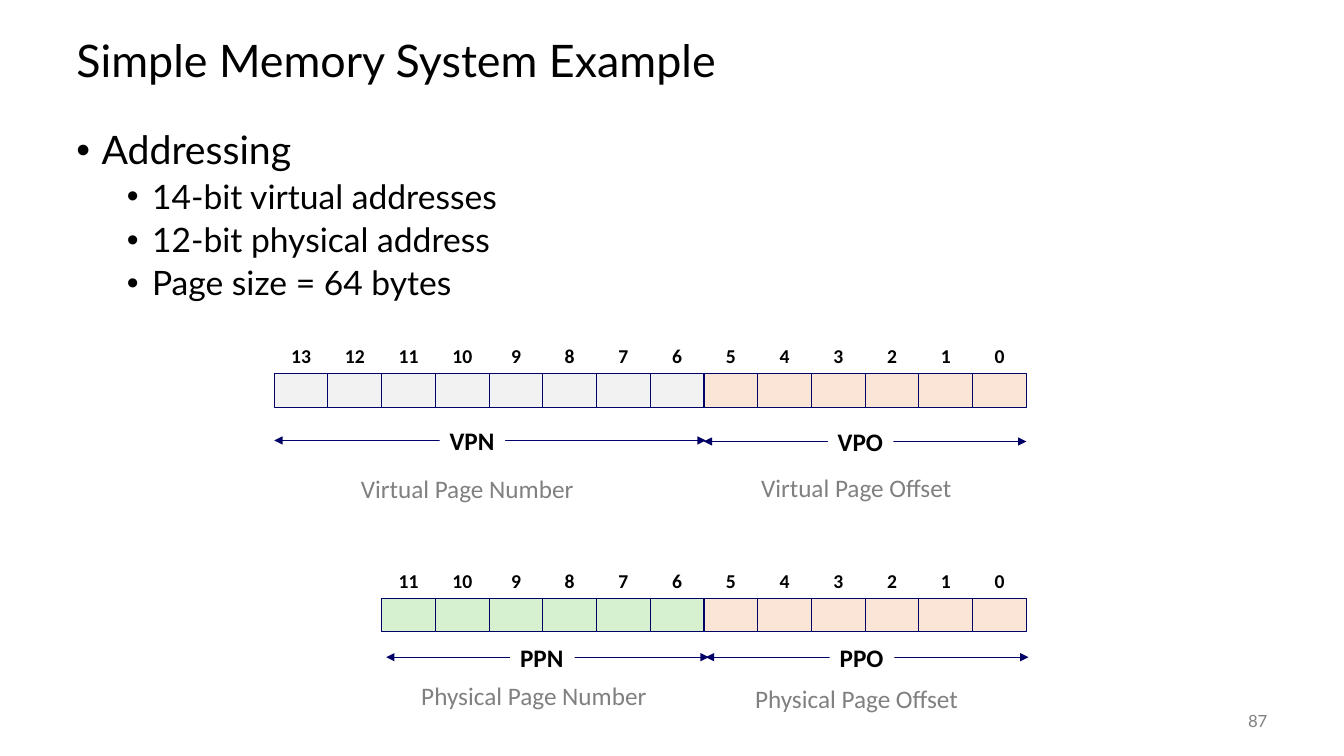
from lxml import etree
from pptx import Presentation
from pptx.dml.color import RGBColor
from pptx.enum.shapes import MSO_CONNECTOR, MSO_SHAPE
from pptx.enum.text import MSO_ANCHOR, MSO_AUTO_SIZE, PP_ALIGN
from pptx.oxml.ns import qn
from pptx.util import Inches, Pt

# Content
TITLE = "Simple Memory System Example"
BULLETS = [
    (0, "Addressing"),
    (1, "14-bit virtual addresses"),
    (1, "12-bit physical address"),
    (1, "Page size = 64 bytes"),
]
PAGE_NUMBER = "87"
OFFSET_BITS = 6
# Each address: bit count, top of cells, colour of the page number cells
ADDRESSES = [(14, 3.71, "F2F2F2"), (12, 5.94, "D5F1CF")]
# Each field: name, arrow start, arrow end, arrow y, label left, label width
FIELDS = [
    ("VPO", 6.98, 10.18, 4.38, 8.21, 0.65),
    ("PPO", 7, 10.2, 6.52, 8.23, 0.64),
    ("PPN", 3.83, 7.03, 6.52, 5.06, 0.64),
    ("VPN", 2.72, 7, 4.37, 4.36, 0.65),
]
# Each caption: text, left, top, width
CAPTIONS = [
    ("Virtual Page Number", 3.48, 4.69, 2.38),
    ("Virtual Page Offset", 7.45, 4.68, 2.16),
    ("Physical Page Number", 4.08, 6.74, 2.5),
    ("Physical Page Offset", 7.39, 6.77, 2.29),
]

# Layout and formats
ROW_LEFT, ROW_RIGHT = 2.72, 10.18
CELL_W = (ROW_RIGHT - ROW_LEFT) / 14
CELL_H = 0.33
LABEL_H = 0.36
NAVY, BLACK, GREY, PEACH = "000066", "000000", "808080", "FBE5D6"
HEADING = {"name": "Lato", "size": Pt(32)}
LEVELS = [  # font, left margin and space before of each bullet level
    ({"name": "Lato", "size": Pt(28)}, 0.25, 14),
    ({"name": "Lato", "size": Pt(24)}, 0.75, 5),
]
BIT = {"name": "Calibri", "size": Pt(14), "bold": True}
FIELD = {"name": "Calibri", "size": Pt(18), "bold": True}
CAPTION = {"name": "Calibri", "size": Pt(18)}
NUMBER = {"name": "Lato", "size": Pt(12)}


def rgb(color):
    return RGBColor.from_string(color)


def write(p, text, font, color=BLACK, spacing=None, align=None):
    r = p.add_run()
    r.text = text
    for key, value in font.items():
        setattr(r.font, key, value)
    r.font.color.rgb = rgb(color)
    p.line_spacing, p.alignment = spacing, align


def add_text(x, y, w, h, wrap=True, anchor=MSO_ANCHOR.TOP, fit=MSO_AUTO_SIZE.NONE):
    sp = s.shapes.add_textbox(Inches(x), Inches(y), Inches(w), Inches(h))
    frame = {"word_wrap": wrap, "vertical_anchor": anchor, "auto_size": fit}
    for key, value in frame.items():
        setattr(sp.text_frame, key, value)
    return sp


def add_label(text, x, y, w, font, color=BLACK):
    sp = add_text(x, y, w, LABEL_H, wrap=False, fit=MSO_AUTO_SIZE.SHAPE_TO_FIT_TEXT)
    write(sp.text_frame.paragraphs[0], text, font, color, 0.88)
    return sp


def add_cell(x, y, color):
    sp = s.shapes.add_shape(MSO_SHAPE.RECTANGLE, Inches(x), Inches(y),
                            Inches(CELL_W), Inches(CELL_H))
    sp.shadow.inherit = False
    sp.fill.solid()
    sp.fill.fore_color.rgb = rgb(color)
    sp.line.color.rgb = rgb(NAVY)
    sp.line.width = Pt(0.75)


def add_arrow(x1, x2, y):
    sp = s.shapes.add_connector(MSO_CONNECTOR.STRAIGHT, Inches(x1), Inches(y),
                                Inches(x2), Inches(y))
    sp.line.color.rgb = rgb(NAVY)
    sp.line.width = Pt(0.75)
    ln = sp.line._get_or_add_ln()
    for end in ("a:headEnd", "a:tailEnd"):
        etree.SubElement(ln, qn(end), type="triangle")
    etree.SubElement(sp._element.spPr, qn("a:effectLst"))


prs = Presentation()
prs.slide_width, prs.slide_height = Inches(13.33), Inches(7.5)
s = prs.slides.add_slide(prs.slide_layouts[6])

# Title
sp = add_text(0.66, 0.25, 12, 0.75, anchor=MSO_ANCHOR.MIDDLE)
write(sp.text_frame.paragraphs[0], TITLE, HEADING, spacing=0.9)

# Bullets
tf = add_text(0.66, 1.25, 12, 5.5).text_frame
for i, (level, text) in enumerate(BULLETS):
    p = tf.add_paragraph() if i else tf.paragraphs[0]
    font, margin, before = LEVELS[level]
    p.level = level
    pPr = p._p.get_or_add_pPr()
    pPr.set("marL", str(Inches(margin)))
    pPr.set("indent", str(Inches(-0.25)))
    etree.SubElement(pPr, qn("a:buFont"), typeface="Arial")
    etree.SubElement(pPr, qn("a:buChar"), char="•")
    write(p, text, font, spacing=0.9)
    if i:
        p.space_before = Pt(before)

# Address rows: numbered bits, highest first
for bits, top, color in ADDRESSES:
    for bit in reversed(range(bits)):
        x = ROW_RIGHT - (bit + 1) * CELL_W
        add_cell(x, top, PEACH if bit < OFFSET_BITS else color)
        sp = add_text(x, top - CELL_H, CELL_W, CELL_H, False, MSO_ANCHOR.MIDDLE)
        write(sp.text_frame.paragraphs[0], str(bit), BIT, spacing=0.88,
              align=PP_ALIGN.CENTER)

# Field arrows, each broken by its name
for name, x1, x2, y, x, w in FIELDS:
    add_arrow(x1, x2, y)
    sp = add_label(name, x, y - 0.16, w, FIELD)
    sp.fill.solid()
    sp.fill.fore_color.rgb = rgb("FFFFFF")

# Captions
for text, x, y, w in CAPTIONS:
    add_label(text, x, y, w, CAPTION, GREY)

# Page number
sp = add_text(11.67, 6.95, 1, 0.4, anchor=MSO_ANCHOR.MIDDLE)
write(sp.text_frame.paragraphs[0], PAGE_NUMBER, NUMBER, GREY, align=PP_ALIGN.RIGHT)

prs.save("out.pptx")
